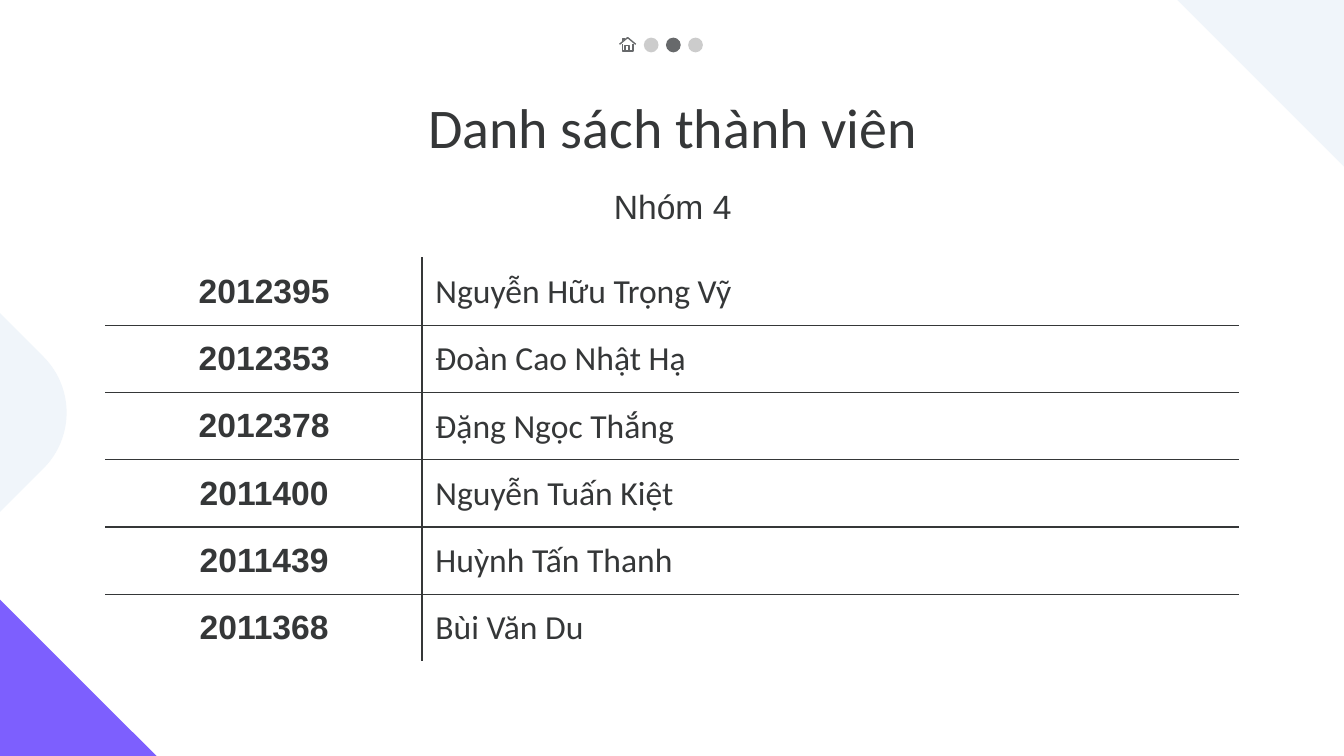
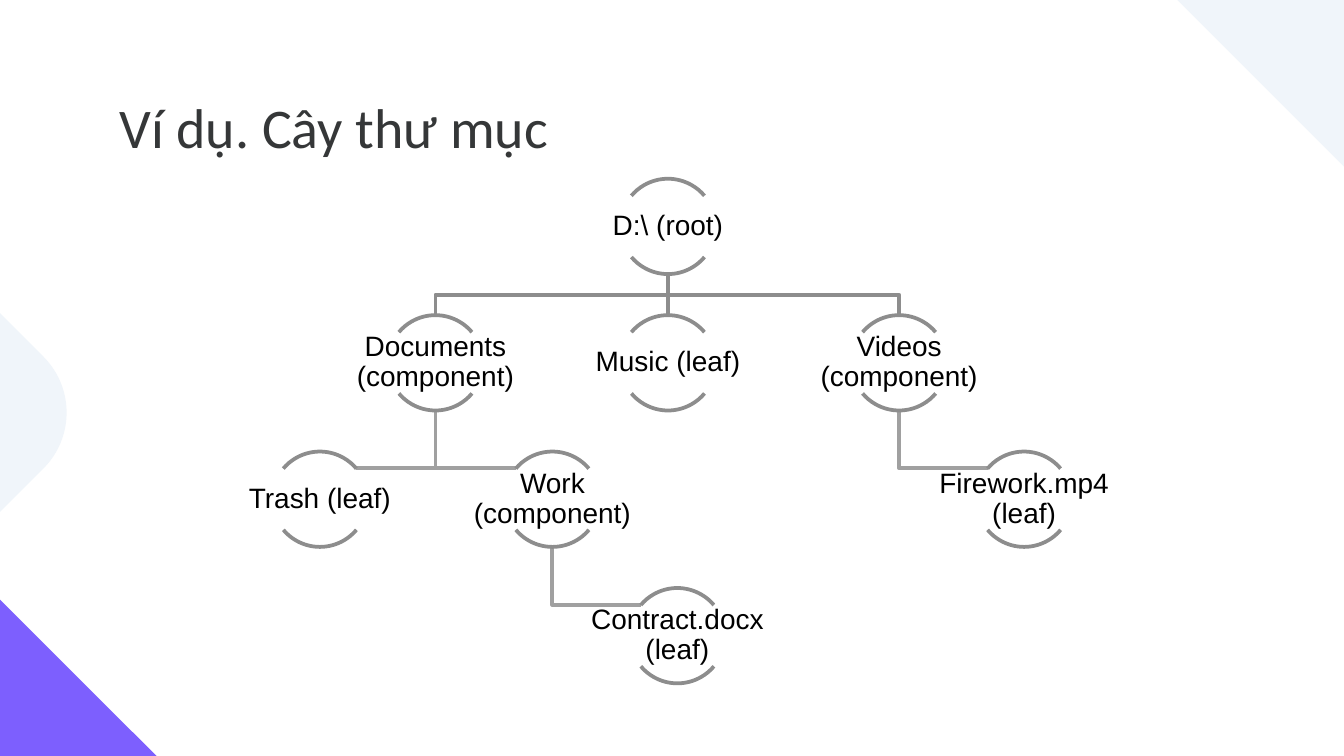
import dataclasses
import typing

import lxml.etree
import pptx
import pptx.dml.color
import pptx.enum.shapes
import pptx.enum.text
import pptx.oxml.ns
import pptx.util

Inches = pptx.util.Inches
Pt = pptx.util.Pt
Kind = pptx.enum.shapes.MSO_SHAPE
Align = pptx.enum.text.PP_ALIGN
Anchor = pptx.enum.text.MSO_ANCHOR
qn = pptx.oxml.ns.qn
Point = tuple[float, float]


@dataclasses.dataclass(frozen=True)
class Theme:
    ink: str = "353738"
    black: str = "000000"
    pale: str = "F0F5FA"
    violet: str = "7D5FFE"
    dark: str = "67696B"
    light: str = "B0B0B0"
    arc: str = "8D8D8D"
    branch: str = "A0A0A0"
    head: str = "Calibri"
    body: str = "Arial"
    title: float = 30
    text: float = 18
    label: float = 15
    thin: float = 0.75
    thick: float = 2


@dataclasses.dataclass(frozen=True)
class Box:
    left: float
    top: float
    width: float
    height: float

    def emu(self) -> tuple[int, ...]:
        return tuple(Inches(v) for v in dataclasses.astuple(self))


@dataclasses.dataclass(frozen=True)
class Node:
    text: str
    mid: float
    level: int
    parent: str = ""

    @property
    def top(self) -> float:
        return 1.33 + 1.015 * self.level

    @property
    def foot(self) -> float:
        return self.top + RING


THEME = Theme()
RING = 0.71
DROP = 0.125
REACH = 0.27
INSET = 0.1

BANDS = (
    (8.95, -2.3, THEME.pale),
    (-3.51, 1.31, THEME.pale),
    (-2.34, 4.61, THEME.violet),
)

TEAM = (
    ("2012395", "Nguyễn Hữu Trọng Vỹ"),
    ("2012353", "Đoàn Cao Nhật Hạ"),
    ("2012378", "Đặng Ngọc Thắng"),
    ("2011400", "Nguyễn Tuấn Kiệt"),
    ("2011439", "Huỳnh Tấn Thanh"),
    ("2011368", "Bùi Văn Du"),
)

HOUSE = (
    ((4.61, 0.33), (4.67, 0.28), (4.73, 0.33)),
    ((4.63, 0.33), (4.63, 0.38), (4.71, 0.38), (4.71, 0.33)),
    ((4.65, 0.38), (4.65, 0.34), (4.68, 0.34), (4.68, 0.38)),
    ((4.63, 0.31), (4.63, 0.29), (4.65, 0.29)),
)

ROOT, DOCS, WORK, VIDEOS = (
    "D:\\ (root)", "Documents (component)", "Work (component)",
    "Videos (component)",
)
NODES = (
    Node(ROOT, 4.97, 0),
    Node(DOCS, 3.24, 1, ROOT),
    Node("Trash (leaf)", 2.38, 2, DOCS),
    Node(WORK, 4.11, 2, DOCS),
    Node("Contract.docx (leaf)", 5.04, 3, WORK),
    Node("Music (leaf)", 4.97, 1, ROOT),
    Node(VIDEOS, 6.69, 1, ROOT),
    Node("Firework.mp4 (leaf)", 7.62, 2, VIDEOS),
)


def apply(target: typing.Any, form: dict[str, typing.Any]) -> None:
    for name, value in form.items():
        setattr(target, name, value)


def tint(code: str) -> pptx.dml.color.RGBColor:
    return pptx.dml.color.RGBColor.from_string(code)


def stroke(line, code: str, width: float) -> None:
    line.color.rgb = tint(code)
    line.width = Pt(width)


def margins(inset: float) -> dict[str, int]:
    sides = ("left", "right", "top", "bottom")
    return {f"margin_{side}": Inches(inset) for side in sides}


def write(frame, text: str, size: float, font: str, code: str = THEME.ink,
          align=Align.LEFT, bold: bool = False, space: float = 1.0) -> None:
    para = frame.paragraphs[0]
    apply(para, {"alignment": align, "line_spacing": space})
    run = para.add_run()
    run.text = text
    apply(run.font, {"size": Pt(size), "name": font, "bold": bold})
    run.font.color.rgb = tint(code)


def textbox(slide, box: Box, text: str, size: float, font: str,
            inset: float = INSET, anchor=Anchor.TOP, **form) -> None:
    frame = slide.shapes.add_textbox(*box.emu()).text_frame
    apply(frame, {"word_wrap": True, "vertical_anchor": anchor,
                  **margins(inset)})
    write(frame, text, size, font, **form)


def solid(slide, kind, box: Box, code: str):
    shape = slide.shapes.add_shape(kind, *box.emu())
    shape.shadow.inherit = False
    shape.fill.solid()
    shape.fill.fore_color.rgb = tint(code)
    shape.line.fill.background()
    return shape


def trace(slide, paths: typing.Sequence[typing.Sequence[Point]], code: str,
          width: float) -> None:
    pen = None
    for points in paths:
        first, *rest = [(Inches(x), Inches(y)) for x, y in points]
        if pen is None:
            pen = slide.shapes.build_freeform(*first)
        else:
            pen.move_to(*first)
        pen.add_line_segments(rest, close=False)
    shape = pen.convert_to_shape()
    shape.shadow.inherit = False
    shape.fill.background()
    stroke(shape.line, code, width)


def straight(slide, start: Point, end: Point, code: str) -> None:
    ends = [Inches(v) for v in (*start, *end)]
    line = slide.shapes.add_connector(
        pptx.enum.shapes.MSO_CONNECTOR.STRAIGHT, *ends)
    stroke(line.line, code, THEME.thick)
    lxml.etree.SubElement(line.element.spPr, qn("a:effectLst"))


def bands(slide, layout) -> None:
    for left, top, code in BANDS:
        band = solid(slide, Kind.ROUNDED_RECTANGLE,
                     Box(left, top, 3.52, 3.52), code)
        band.rotation = 315
        band.adjustments[0] = 0.167
        layout.shapes.element.append(band.element)


def title(slide, text: str, align=Align.LEFT) -> None:
    textbox(slide, Box(0.79, 0.59, 8.43, 0.69), text, THEME.title,
            THEME.head, align=align)


def marker(slide, active: int = 1) -> None:
    for i in range(3):
        code = THEME.dark if i == active else THEME.light
        dot = solid(slide, Kind.OVAL,
                    Box(4.79 + 0.165 * i, 0.28, 0.11, 0.11), code)
        if i != active:
            color = next(dot.element.spPr.iter(qn("a:srgbClr")))
            lxml.etree.SubElement(color, qn("a:alpha"), val="64000")
    trace(slide, HOUSE, THEME.dark, THEME.thin)


def border(cell, sides: typing.Iterable[str]) -> None:
    props = cell._tc.get_or_add_tcPr()
    for side in sides:
        line = lxml.etree.SubElement(props, qn(f"a:ln{side}"),
                                     w=str(Pt(THEME.thin)))
        fill = lxml.etree.SubElement(line, qn("a:solidFill"))
        lxml.etree.SubElement(fill, qn("a:srgbClr"), val=THEME.ink)


def roster(slide) -> None:
    box = Box(0.79, 1.92, 8.42, 3)
    table = slide.shapes.add_table(len(TEAM), 2, *box.emu()).table
    apply(table, {"first_row": False, "horz_banding": False})
    for column, width in zip(table.columns, (2.35, 6.07)):
        column.width = Inches(width)
    looks = (
        {"font": THEME.body, "bold": True, "align": Align.CENTER},
        {"font": THEME.head},
    )
    for r, row in enumerate(TEAM):
        for c, text in enumerate(row):
            cell = table.cell(r, c)
            sides = ["L" if c else "R"]
            sides += ["T"] if r else []
            sides += ["B"] if r < len(TEAM) - 1 else []
            border(cell, sides)
            cell.fill.background()
            apply(cell, {"vertical_anchor": Anchor.MIDDLE, **margins(INSET)})
            write(cell.text_frame, text, size=THEME.text, **looks[c])


def link(slide, parent: Node, child: Node) -> None:
    start = (parent.mid, parent.foot)
    end = (child.mid, child.top)
    if parent.mid == child.mid:
        straight(slide, start, end, THEME.arc)
    elif parent.level == 0:
        bus = (parent.foot + child.top) / 2
        trace(slide, [(start, (parent.mid, bus), (child.mid, bus), end)],
              THEME.arc, THEME.thick)
    else:
        bend = child.top + DROP
        side = REACH if child.mid < parent.mid else -REACH
        trace(slide, [(start, (parent.mid, bend), (child.mid + side, bend))],
              THEME.branch, THEME.thick)


def draw(slide, node: Node) -> None:
    ring = Box(node.mid - RING / 2, node.top, RING, RING)
    for first, last in ((132, 192), (24, 84)):
        arc = slide.shapes.add_shape(Kind.ARC, *ring.emu())
        arc.shadow.inherit = False
        arc.adjustments[0] = first
        arc.adjustments[1] = last
        arc.fill.background()
        stroke(arc.line, THEME.arc, THEME.thick)
    textbox(slide, Box(node.mid - RING, node.top + DROP, 2 * RING, 0.46),
            node.text, THEME.label, THEME.body, inset=0.01,
            anchor=Anchor.MIDDLE, code=THEME.black, align=Align.CENTER,
            space=0.9)


def tree(slide) -> None:
    lookup = {node.text: node for node in NODES}
    for node in NODES:
        if node.parent:
            link(slide, lookup[node.parent], node)
    for node in NODES:
        draw(slide, node)


def main() -> None:
    deck = pptx.Presentation()
    apply(deck, {"slide_width": Inches(10), "slide_height": Inches(5.625)})
    blank = deck.slide_layouts[6]

    team = deck.slides.add_slide(blank)
    bands(team, blank)
    title(team, "Danh sách thành viên", Align.CENTER)
    textbox(team, Box(0.79, 1.28, 8.43, 0.34), "Nhóm 4", THEME.text,
            THEME.body, align=Align.CENTER)
    roster(team)
    marker(team)

    sample = deck.slides.add_slide(blank)
    title(sample, "Ví dụ. Cây thư mục")
    tree(sample)
    deck.save("out.pptx")


main()
